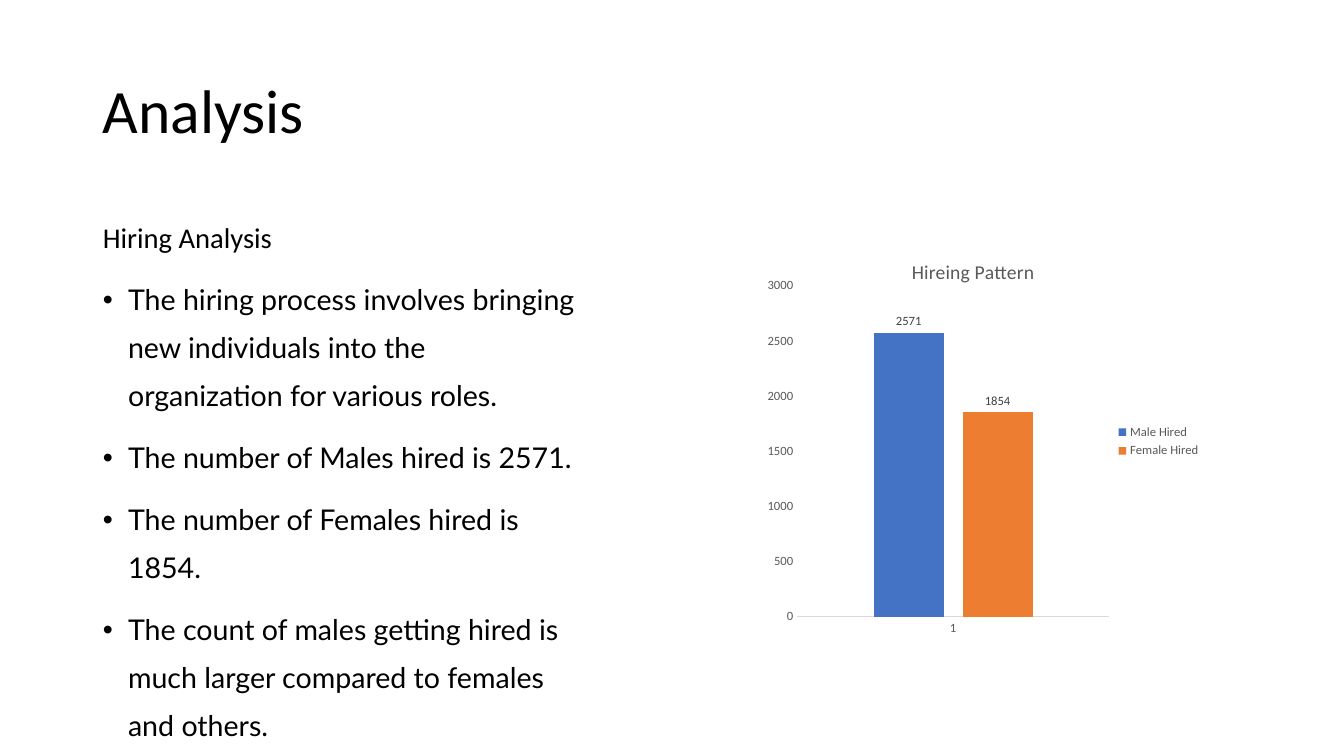
from dataclasses import dataclass

from lxml.etree import SubElement
from pptx import Presentation
from pptx.chart.data import CategoryChartData
from pptx.dml.color import RGBColor
from pptx.enum.chart import XL_CHART_TYPE, XL_LABEL_POSITION, XL_LEGEND_POSITION, XL_TICK_MARK
from pptx.enum.text import MSO_ANCHOR, MSO_AUTO_SIZE, PP_ALIGN
from pptx.oxml import parse_xml
from pptx.oxml.ns import nsdecls, qn
from pptx.util import Inches, Pt

# Content
TITLE = "Analysis"
HEADING = "Hiring Analysis"
POINTS = [
    "The hiring process involves bringing new individuals into the organization for various roles.",
    "The number of Males hired is 2571.",
    "The number of Females hired is 1854.",
    "The count of males getting hired is much larger compared to females and others.",
]
CHART_TITLE = "Hireing Pattern"
CATEGORIES = ["1"]
HIRES = [("Male Hired", 2571, "4472C4"), ("Female Hired", 1854, "ED7D31")]

# Places: left, top, width, height in inches
TITLE_AREA = (0.92, 0.4, 11.5, 1.45)
BODY_AREA = (0.92, 2, 4.95, 4.76)
CHART_AREA = (7.32, 2.32, 4.69, 4.12)
INDENT = 0.25

# Places inside the chart, as fractions of its size
CHART_TITLE_PLACE = {"x": 0.36, "y": 0.05}
PLOT_PLACE = {"x": 0.125, "y": 0.125, "w": 0.66, "h": 0.797}


@dataclass
class Theme:
    font: str = "Calibri"
    list_font: str = "Lato"
    ink: str = "000000"
    muted: str = "595959"
    label: str = "404040"
    axis: str = "D9D9D9"
    title_size: float = 44
    body_size: float = 20.4
    chart_title_size: float = 14
    chart_size: float = 9


theme = Theme()


def style_font(font, size, color, name=theme.font):
    font.size, font.name, font.bold = Pt(size), name, False
    font.color.rgb = RGBColor.from_string(color)


def write_text(para, text, *, size, color=theme.ink, font=theme.font,
               line_spacing=None, before=None, align=None, bullet=None):
    span = para.add_run()
    span.text = text
    style_font(span.font, size, color, font)
    para.alignment = align
    para.line_spacing = line_spacing
    para.space_before = None if before is None else Pt(before)
    if bullet is not None:
        settings = para._p.get_or_add_pPr()
        indent = Inches(INDENT) if bullet else 0
        settings.set("marL", str(indent))
        settings.set("indent", str(-indent))
        if bullet:
            SubElement(settings, qn("a:buFont")).set("typeface", "Arial")
            SubElement(settings, qn("a:buChar")).set("char", bullet)
        else:
            SubElement(settings, qn("a:buNone"))


def place(box, area, anchor):
    box.left, box.top, box.width, box.height = map(Inches, area)
    frame = box.text_frame
    frame.auto_size, frame.word_wrap = MSO_AUTO_SIZE.NONE, True
    frame.vertical_anchor = anchor
    return frame


def set_layout(element, position, fractions, inner=False):
    for old in element.findall(qn("c:layout")):
        element.remove(old)
    target = '<c:layoutTarget val="inner"/>' if inner else ""
    modes = "".join(f'<c:{key}Mode val="edge"/>' for key in "xy")
    values = "".join(f'<c:{key} val="{value}"/>' for key, value in fractions.items())
    element.insert(position, parse_xml(
        f'<c:layout {nsdecls("c")}><c:manualLayout>{target}{modes}{values}'
        '</c:manualLayout></c:layout>'))


def add_title(page):
    frame = place(page.shapes.title, TITLE_AREA, MSO_ANCHOR.MIDDLE)
    write_text(frame.paragraphs[0], TITLE, size=theme.title_size,
               line_spacing=0.9, align=PP_ALIGN.LEFT)


def add_body(page):
    frame = place(page.placeholders[1], BODY_AREA, MSO_ANCHOR.TOP)
    common = dict(size=theme.body_size, line_spacing=1.4, before=10, align=PP_ALIGN.LEFT)
    write_text(frame.paragraphs[0], HEADING, bullet="", **common)
    for point in POINTS:
        write_text(frame.add_paragraph(), point, font=theme.list_font, bullet="•", **common)


def add_hiring_chart(page):
    data = CategoryChartData()
    data.categories = CATEGORIES
    for name, count, _ in HIRES:
        data.add_series(name, [count])
    chart = page.shapes.add_chart(
        XL_CHART_TYPE.COLUMN_CLUSTERED, *map(Inches, CHART_AREA), data).chart
    style_font(chart.font, theme.chart_size, theme.muted)

    # Title and legend
    chart.has_title = True
    write_text(chart.chart_title.text_frame.paragraphs[0], CHART_TITLE,
               size=theme.chart_title_size, color=theme.muted)
    chart.chart_title.include_in_layout = False
    set_layout(chart.chart_title._element, 1, CHART_TITLE_PLACE)
    chart.has_legend = True
    chart.legend.position = XL_LEGEND_POSITION.RIGHT
    chart.legend.include_in_layout = False
    style_font(chart.legend.font, theme.chart_size, theme.muted)

    # Axes
    for axis in (chart.category_axis, chart.value_axis):
        axis.major_tick_mark = axis.minor_tick_mark = XL_TICK_MARK.NONE
        axis.has_major_gridlines = False
        style_font(axis.tick_labels.font, theme.chart_size, theme.muted)
    axis_line = chart.category_axis.format.line
    axis_line.color.rgb = RGBColor.from_string(theme.axis)
    axis_line.width = Pt(0.75)
    scale = chart.value_axis
    scale.format.line.fill.background()
    scale.minimum_scale, scale.maximum_scale, scale.major_unit = 0, 3000, 500

    # Columns and their values
    plot = chart.plots[0]
    plot.gap_width, plot.overlap, plot.vary_by_categories = 219, -27, False
    for series, (_, _, color) in zip(plot.series, HIRES):
        series.format.fill.solid()
        series.format.fill.fore_color.rgb = RGBColor.from_string(color)
        labels = series.data_labels
        labels.show_value = True
        labels.position = XL_LABEL_POSITION.OUTSIDE_END
        style_font(labels.font, theme.chart_size, theme.label)
    set_layout(chart._chartSpace.chart.plotArea, 0, PLOT_PLACE, inner=True)


def main():
    deck = Presentation()
    deck.slide_width, deck.slide_height = Inches(13.33), Inches(7.5)
    page = deck.slides.add_slide(deck.slide_layouts[1])
    add_title(page)
    add_body(page)
    add_hiring_chart(page)
    deck.save("out.pptx")


if __name__ == "__main__":
    main()
